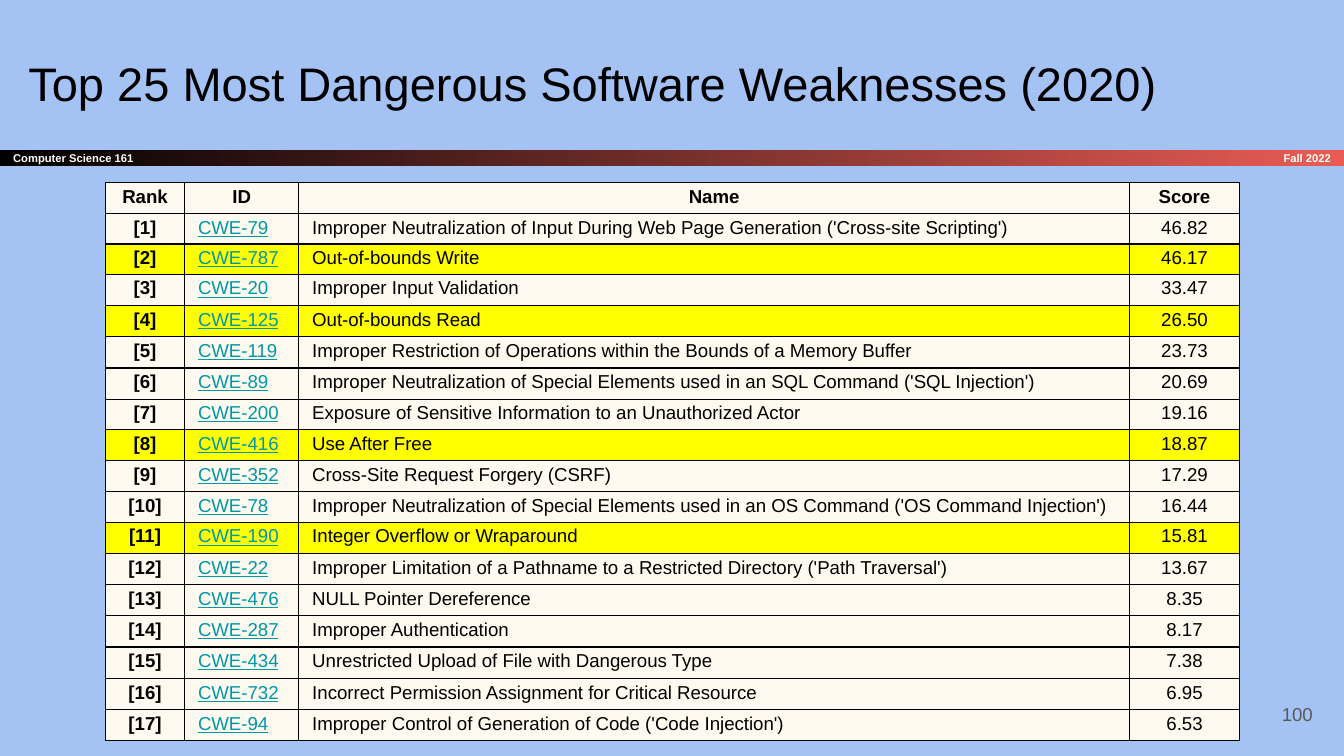
import pptx
import pptx.util
import pptx.dml.color
import pptx.enum.shapes
import pptx.enum.text
import pptx.oxml
import pptx.oxml.ns

Pt = pptx.util.Pt
ALIGN = pptx.enum.text.PP_ALIGN
ANCHOR = pptx.enum.text.MSO_ANCHOR

IVORY, YELLOW, TEAL = "FFFAF0", "FFFF00", "0097A7"
HEADINGS = ("Rank", "ID", "Name", "Score")
MEMORY_SAFETY_RANKS = {2, 4, 8, 11}
WEAKNESSES = [
    ("CWE-79", "Improper Neutralization of Input During Web Page Generation ('Cross-site Scripting')", "46.82"),
    ("CWE-787", "Out-of-bounds Write", "46.17"),
    ("CWE-20", "Improper Input Validation", "33.47"),
    ("CWE-125", "Out-of-bounds Read", "26.50"),
    ("CWE-119", "Improper Restriction of Operations within the Bounds of a Memory Buffer", "23.73"),
    ("CWE-89", "Improper Neutralization of Special Elements used in an SQL Command ('SQL Injection')", "20.69"),
    ("CWE-200", "Exposure of Sensitive Information to an Unauthorized Actor", "19.16"),
    ("CWE-416", "Use After Free", "18.87"),
    ("CWE-352", "Cross-Site Request Forgery (CSRF)", "17.29"),
    ("CWE-78", "Improper Neutralization of Special Elements used in an OS Command ('OS Command Injection')", "16.44"),
    ("CWE-190", "Integer Overflow or Wraparound", "15.81"),
    ("CWE-22", "Improper Limitation of a Pathname to a Restricted Directory ('Path Traversal')", "13.67"),
    ("CWE-476", "NULL Pointer Dereference", "8.35"),
    ("CWE-287", "Improper Authentication", "8.17"),
    ("CWE-434", "Unrestricted Upload of File with Dangerous Type", "7.38"),
    ("CWE-732", "Incorrect Permission Assignment for Critical Resource", "6.95"),
    ("CWE-94", "Improper Control of Generation of Code ('Code Injection')", "6.53"),
]
COLUMN_WIDTHS = (42.4, 61.2, 445, 59)
ROW_HEIGHT, SHORT_ROW_HEIGHT = 16.75, 15.75
SHORT_ROWS = {1, 2, 7, 10}


def rgb(color):
    return pptx.dml.color.RGBColor.from_string(color)


def write(frame, text, size=10, color="000000", bold=False, underline=False,
          align=ALIGN.LEFT, anchor=ANCHOR.TOP, inset_x=7.2, inset_y=0):
    frame.word_wrap = True
    frame.vertical_anchor = anchor
    frame.margin_left = frame.margin_right = Pt(inset_x)
    frame.margin_top = frame.margin_bottom = Pt(inset_y)
    paragraph = frame.paragraphs[0]
    paragraph.alignment = align
    run = paragraph.add_run()
    run.text = text
    run.font.name, run.font.size = "Arial", Pt(size)
    run.font.bold, run.font.underline = bold, underline
    run.font.color.rgb = rgb(color)


def add_title(slide, left, top, width, height):
    title = slide.shapes.title
    title.left, title.top, title.width, title.height = map(Pt, (left, top, width, height))
    write(title.text_frame, "Top 25 Most Dangerous Software Weaknesses (2020)",
          size=25.2, inset_y=7.2)
    title.text_frame.auto_size = pptx.enum.text.MSO_AUTO_SIZE.NONE


def add_course_bar(slide, left, top, width, height):
    label = {"size": 6, "color": "FFFFFF", "bold": True, "anchor": ANCHOR.MIDDLE}
    bar = slide.shapes.add_shape(pptx.enum.shapes.MSO_SHAPE.RECTANGLE,
                                 Pt(left), Pt(top), Pt(width), Pt(height))
    bar.shadow.inherit = False
    bar.line.fill.background()
    bar.fill.gradient()
    bar.fill.gradient_angle = 0
    for stop, color, position in zip(bar.fill.gradient_stops, ("000000", "E85C54"), (0, 1)):
        stop.color.rgb = rgb(color)
        stop.position = position
    write(bar.text_frame, "Computer Science 161", **label)

    term_width = width / 6
    term = slide.shapes.add_textbox(Pt(left + width - term_width), Pt(top),
                                    Pt(term_width), Pt(height))
    write(term.text_frame, "Fall 2022", align=ALIGN.RIGHT, **label)


def add_page_number(slide, left, top, width, height):
    page_number = slide.shapes.add_textbox(Pt(left), Pt(top), Pt(width), Pt(height))
    write(page_number.text_frame, "100", color="595959", align=ALIGN.RIGHT,
          anchor=ANCHOR.MIDDLE)


def add_borders(cell):
    properties = cell._tc.get_or_add_tcPr()
    for side in "LRTB":
        properties.append(pptx.oxml.parse_xml(
            f'<a:ln{side} {pptx.oxml.ns.nsdecls("a")} w="{Pt(0.75)}"><a:solidFill>'
            f'<a:srgbClr val="000000"/></a:solidFill></a:ln{side}>'))


def fill_cell(cell, text, background, **text_format):
    add_borders(cell)
    cell.fill.solid()
    cell.fill.fore_color.rgb = rgb(background)
    write(cell.text_frame, text, **text_format)
    # Cell margins belong to the cell, not to its text frame
    cell.margin_left = cell.margin_right = Pt(7.2)
    cell.margin_top = cell.margin_bottom = Pt(2.1)
    cell.vertical_anchor = ANCHOR.TOP


def add_weakness_table(slide, left, top):
    heights = [SHORT_ROW_HEIGHT if row in SHORT_ROWS else ROW_HEIGHT
               for row in range(len(WEAKNESSES) + 1)]
    ranking = slide.shapes.add_table(
        len(heights), len(HEADINGS), Pt(left), Pt(top),
        Pt(sum(COLUMN_WIDTHS)), Pt(sum(heights))).table
    ranking.first_row = ranking.horz_banding = False
    for column, width in zip(ranking.columns, COLUMN_WIDTHS):
        column.width = Pt(width)
    for row, height in zip(ranking.rows, heights):
        row.height = Pt(height)

    # Heading row
    for column, heading in enumerate(HEADINGS):
        fill_cell(ranking.cell(0, column), heading, IVORY, bold=True, align=ALIGN.CENTER)

    # One row per weakness, memory safety ones highlighted
    column_formats = ({"bold": True, "align": ALIGN.CENTER},
                      {"color": TEAL, "underline": True},
                      {},
                      {"align": ALIGN.CENTER})
    for rank, weakness in enumerate(WEAKNESSES, start=1):
        background = YELLOW if rank in MEMORY_SAFETY_RANKS else IVORY
        for column, text in enumerate((f"[{rank}]", *weakness)):
            fill_cell(ranking.cell(rank, column), text, background, **column_formats[column])


def main():
    deck = pptx.Presentation()
    deck.slide_width, deck.slide_height = Pt(720), Pt(405)
    slide = deck.slides.add_slide(deck.slide_layouts.get_by_name("Title Only"))
    slide.background.fill.solid()
    slide.background.fill.fore_color.rgb = rgb("A4C2F4")

    add_course_bar(slide, 0, 80.2, 720, 8.7)
    add_title(slide, 8, 22, 671, 45)
    add_page_number(slide, 667.2, 367.2, 43.2, 31)
    add_weakness_table(slide, 56.5, 97.7)
    deck.save("out.pptx")


if __name__ == "__main__":
    main()
